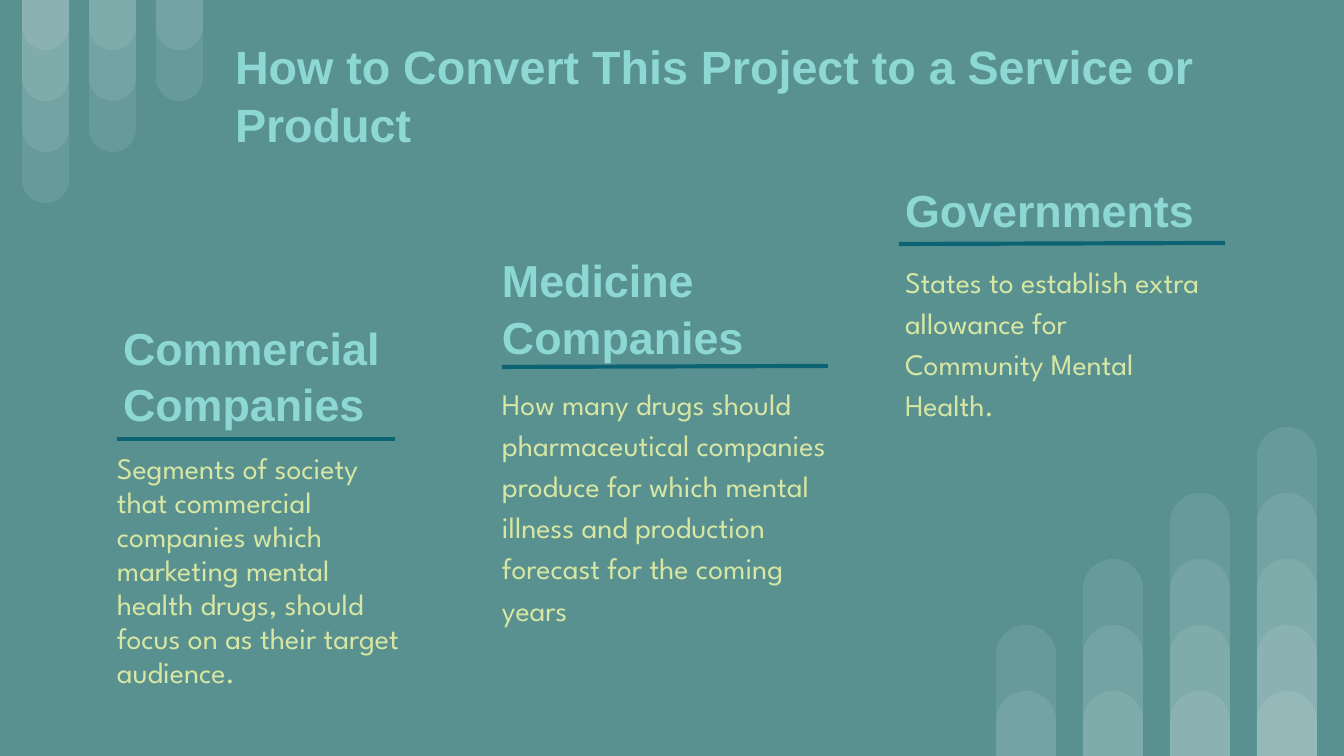
from lxml import etree
from pptx import Presentation
from pptx.dml.color import RGBColor
from pptx.enum.shapes import MSO_CONNECTOR, MSO_SHAPE
from pptx.enum.text import MSO_ANCHOR, MSO_AUTO_SIZE, PP_ALIGN
from pptx.oxml.ns import qn
from pptx.util import Emu, Pt

PX = 914400 / 134.4
MINT, LIME, TEAL = "8DD8D3", "D7E6A3", "0B6374"


def px(*values):
    return [Emu(round(v * PX)) for v in values]


def write(sp, text, size, font, color, bold, anchor, spacing, after=0):
    tf = sp.text_frame
    tf.text = text
    tf.word_wrap = True
    tf.auto_size = MSO_AUTO_SIZE.NONE
    tf.vertical_anchor = anchor
    tf.margin_left = tf.margin_right = tf.margin_top = tf.margin_bottom = px(13)[0]
    p = tf.paragraphs[0]
    p.alignment = PP_ALIGN.LEFT
    p.line_spacing = spacing
    p.space_after = Pt(after)
    f = p.runs[0].font
    f.name, f.size, f.bold = font, Pt(size), bold
    f.color.rgb = RGBColor.from_string(color)


prs = Presentation()
prs.slide_width, prs.slide_height = px(1344, 756)
s = prs.slides.add_slide(prs.slide_layouts[5])
s.background.fill.solid()
s.background.fill.fore_color.rgb = RGBColor.from_string("599191")

# Corner bars: left, column pitch, width, step, bars per column, hanging from the top
corners = [
    (22, 67, 47, 51, (4, 3, 2), True),
    (996, 87, 60, 66, (2, 3, 4, 5), False),
]
for left, pitch, width, step, counts, hanging in corners:
    for i, count in enumerate(counts):
        for k in range(count, 0, -1):
            height = step * k - 1
            top = 0 if hanging else 756 - height
            sp = s.shapes.add_shape(MSO_SHAPE.ROUND_2_SAME_RECTANGLE,
                                    *px(left + pitch * i, top, width, height))
            sp.adjustments[0], sp.adjustments[1] = 0.5, 0
            sp.rotation = 180 if hanging else 0
            sp.shadow.inherit = False
            sp.line.fill.background()
            sp.fill.solid()
            sp.fill.fore_color.rgb = RGBColor.from_string("FFFFFF")
            color = sp.fill._xPr.find(".//" + qn("a:srgbClr"))
            etree.SubElement(color, qn("a:alpha"), val="9000")

# Title
title = s.shapes.title
title.left, title.top, title.width, title.height = px(222, 16, 1079, 155)
write(title, "How to Convert This Project to a Service or Product",
      25, "Arial", MINT, True, MSO_ANCHOR.MIDDLE, 1.05)

# Columns: heading and its box, body and its box, body line spacing, rule ends
columns = [
    ("Commercial Companies", (110, 310, 301, 129),
     "Segments of society that commercial companies which marketing mental "
     "health drugs, should focus on as their target audience.",
     (104, 439, 312, 266), 0.95, (117, 439, 395, 439)),
    ("Medicine Companies", (489, 246, 340, 122),
     "How many drugs should pharmaceutical companies produce for which mental "
     "illness and production forecast for the coming years",
     (489, 367, 367, 281), 1.15, (502, 367, 828, 366)),
    ("Governments", (892, 171, 324, 74),
     "States to establish extra allowance for Community Mental Health.",
     (892, 245, 324, 216), 1.15, (899, 244, 1225, 243)),
]
for heading, heading_box, body, body_box, spacing, rule in columns:
    write(s.shapes.add_textbox(*px(*heading_box)), heading,
          24, "Arial", MINT, True, MSO_ANCHOR.MIDDLE, 1.05)
    write(s.shapes.add_textbox(*px(*body_box)), body,
          16, "League Spartan", LIME, False, MSO_ANCHOR.TOP, spacing, 12)
    line = s.shapes.add_connector(MSO_CONNECTOR.STRAIGHT, *px(*rule))
    line.line.color.rgb = RGBColor.from_string(TEAL)
    line.line.width = Pt(2.25)
    etree.SubElement(line._element.spPr, qn("a:effectLst"))

prs.save("out.pptx")
